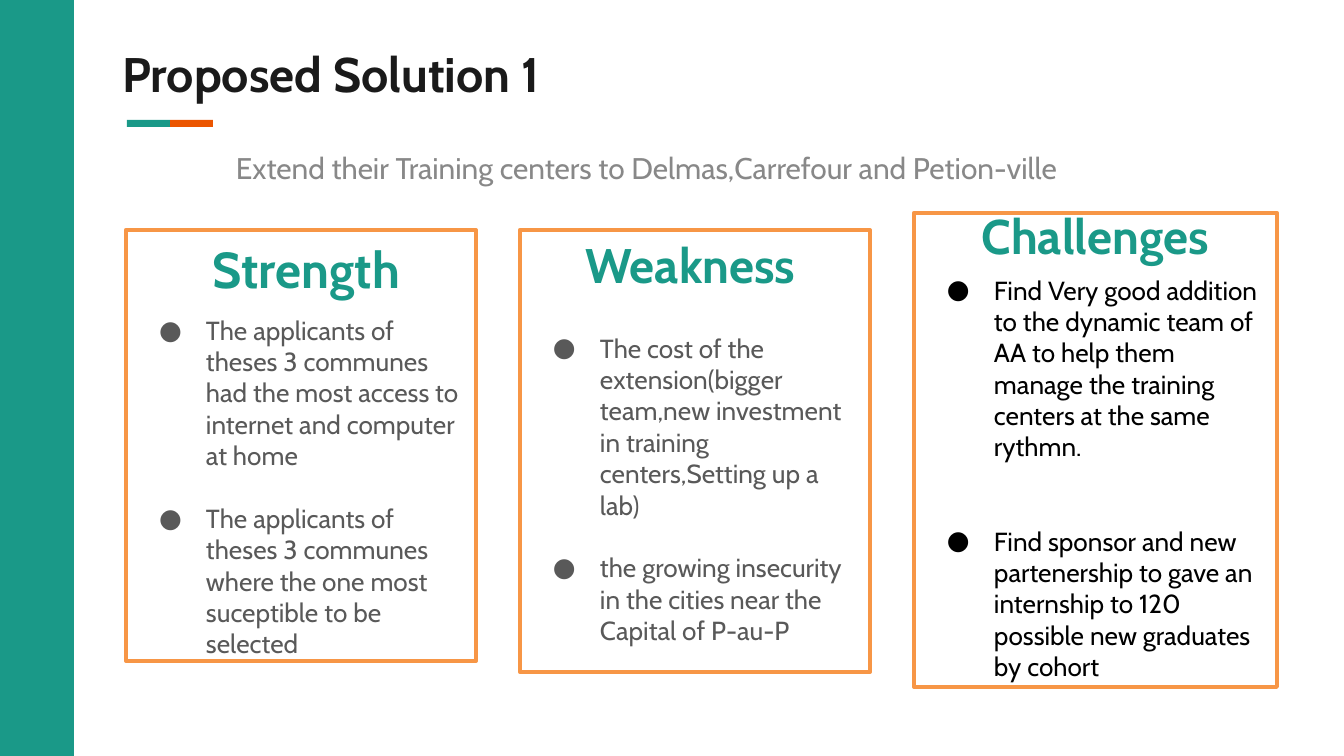
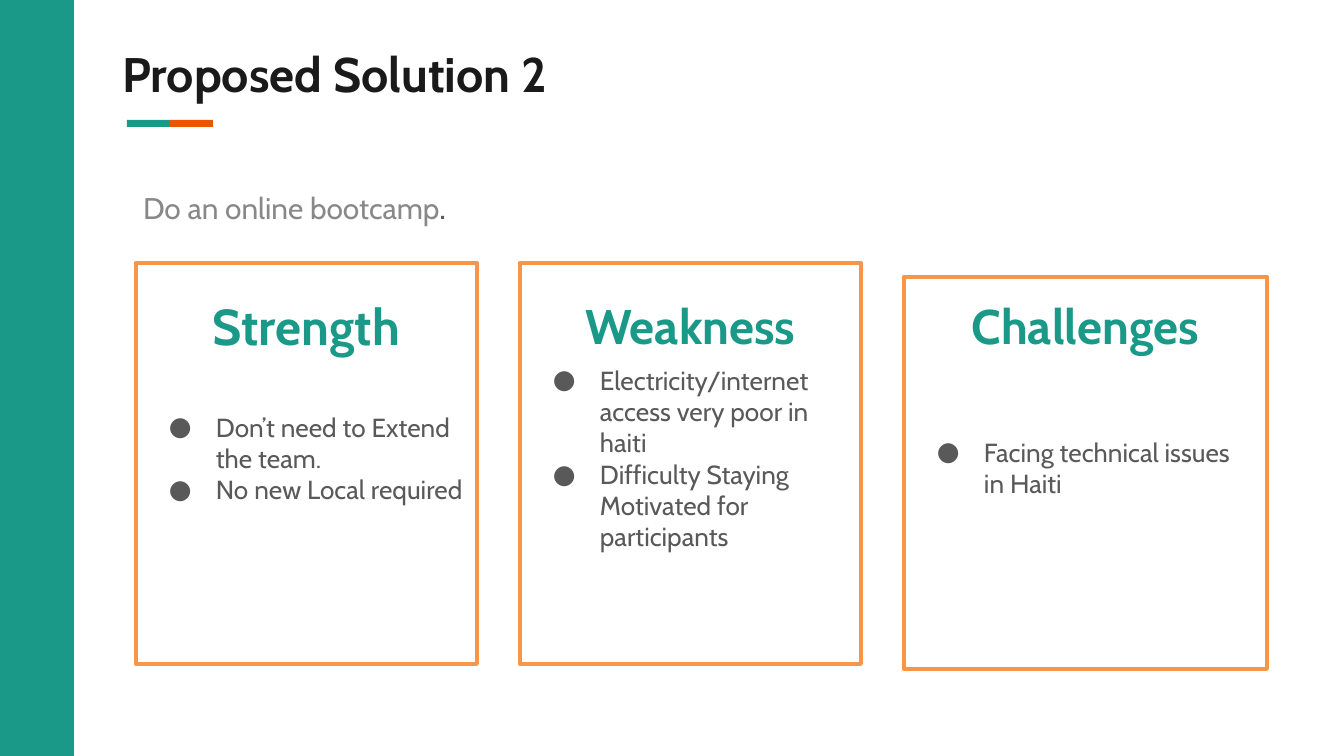
import pptx
import pptx.util
import pptx.dml.color
import pptx.enum.shapes
import pptx.enum.text
import pptx.oxml
import pptx.oxml.ns

PX = 914400 / 134.4
SIZE = (1344, 756)
FACE = "Cabin"
HUES = {"teal": "1A9988", "rust": "EB5500", "gold": "F79646", "white": "FFFFFF",
        "ink": "1A1A1A", "gray": "595959", "pale": "888888", "black": "000000"}
BARS = [((0, 0, 74, 756), "teal"), ((127, 120, 43, 7), "teal"), ((170, 120, 43, 7), "rust")]
TITLE = (121, 44, 1102, 59)
PAD = 13
HANG = (67, -47)

DECK = [
    {"title": "Proposed Solution 1",
     "lead": {"box": (156, 137, 1109, 93), "left": 67, "space": 1.0,
              "runs": [("Extend their Training centers to Delmas,Carrefour and Petion-ville",
                        16, "pale", False)]},
     "cards": [
         {"head": "Strength", "size": 27, "spot": (136, 239, 341, 59),
          "box": (126, 230, 350, 431), "top": 314, "gap": 16.8, "hue": "gray",
          "list": ["The applicants of theses 3 communes had the most access to internet and computer at home",
                   "The applicants of theses 3 communes where the one most suceptible to be selected"]},
         {"head": "Weakness", "size": 26, "spot": (520, 230, 341, 69),
          "box": (520, 230, 350, 442), "top": 332, "gap": 16.8, "hue": "gray",
          "list": ["The cost of the extension(bigger team,new investment in training centers,Setting up a lab)",
                   "the growing insecurity in the cities near the Capital of P-au-P"]},
         {"head": "Challenges", "size": 26, "spot": (914, 206, 363, 58),
          "box": (914, 213, 363, 474), "top": 274, "gap": 33.6, "hue": "black",
          "list": ["Find Very good addition to the dynamic team of AA to help them manage the training centers at the same rythmn.",
                   "Find sponsor and new partenership to gave an internship to 120 possible new graduates by cohort"]},
     ]},
    {"title": "Proposed Solution 2",
     "lead": {"box": (130, 159, 1109, 63), "left": 0, "space": 1.5,
              "runs": [("Do an online bootcamp", 16, "pale", False),
                       (".", 13, "gray", True)]},
     "cards": [
         {"head": "Strength", "size": 27, "spot": (136, 263, 341, 125),
          "box": (136, 263, 341, 401), "top": 411, "gap": 0, "hue": "gray",
          "list": ["Don’t need to Extend the team.", "No new Local required"]},
         {"head": "Weakness", "size": 26, "spot": (520, 263, 341, 125),
          "box": (520, 263, 341, 401), "top": 364, "gap": 0, "hue": "gray",
          "list": ["Electricity/internet access very poor in haiti",
                   "Difficulty Staying Motivated for participants"]},
         {"head": "Challenges", "size": 26, "spot": (904, 263, 363, 125),
          "box": (904, 277, 363, 392), "top": 436, "gap": 0, "hue": "gray",
          "list": ["Facing technical issues in Haiti"]},
     ]},
]

ALIGN = pptx.enum.text.PP_ALIGN
ANCHOR = pptx.enum.text.MSO_ANCHOR


def emu(px):
    return pptx.util.Emu(round(px * PX))


def paint(hue):
    return pptx.dml.color.RGBColor.from_string(HUES[hue])


def apply(obj, form):
    for key, val in form.items():
        setattr(obj, key, val)


def place(shape, box):
    apply(shape, dict(zip(("left", "top", "width", "height"), map(emu, box))))


def setup(frame, anchor, pads=(0, 0, 0, 0)):
    apply(frame, {"word_wrap": True, "auto_size": pptx.enum.text.MSO_AUTO_SIZE.NONE,
                  "vertical_anchor": anchor})
    sides = ("margin_left", "margin_top", "margin_right", "margin_bottom")
    apply(frame, dict(zip(sides, map(emu, pads))))


def write(para, text, size, hue, bold=False):
    run = para.add_run()
    run.text = text
    apply(run.font, {"name": FACE, "size": pptx.util.Pt(size), "bold": bold})
    run.font.color.rgb = paint(hue)


def indent(para, left, first):
    props = para._p.get_or_add_pPr()
    props.set("marL", str(emu(left)))
    props.set("indent", str(emu(first)))
    return props


def bullet(para, hue):
    props = indent(para, *HANG)
    space = pptx.oxml.ns.nsdecls("a")
    for tag in (f'<a:buClr {space}><a:srgbClr val="{HUES[hue]}"/></a:buClr>',
                f'<a:buFont {space} typeface="{FACE}"/>',
                f'<a:buChar {space} char="●"/>'):
        props.append(pptx.oxml.parse_xml(tag))


def block(slide, box, fill, line=None):
    shape = slide.shapes.add_shape(pptx.enum.shapes.MSO_SHAPE.RECTANGLE, *map(emu, box))
    shape.shadow.inherit = False
    shape.fill.solid()
    shape.fill.fore_color.rgb = paint(fill)
    if line:
        shape.line.color.rgb = paint(line)
        shape.line.width = pptx.util.Pt(2.25)
    else:
        shape.line.fill.background()
    return shape


def label(slide, box, anchor, pads=(0, 0, 0, 0)):
    frame = slide.shapes.add_textbox(*map(emu, box)).text_frame
    setup(frame, anchor, pads)
    return frame.paragraphs[0]


def brand(slide):
    tree = slide.slide_layout.shapes._spTree
    for box, hue in BARS:
        tree.append(block(slide, box, hue)._element)


def card(slide, item):
    frame = block(slide, item["box"], "white", "gold").text_frame
    setup(frame, ANCHOR.TOP, (PAD, item["top"] - item["box"][1], PAD, 0))
    for num, text in enumerate(item["list"]):
        para = frame.add_paragraph() if num else frame.paragraphs[0]
        para.alignment = ALIGN.LEFT
        if num and item["gap"]:
            para.space_before = pptx.util.Pt(item["gap"])
        bullet(para, item["hue"])
        write(para, text, 14, item["hue"])
    head = label(slide, item["spot"], ANCHOR.MIDDLE)
    head.alignment = ALIGN.CENTER
    write(head, item["head"], item["size"], "teal", True)


def page(slide, data):
    title = slide.shapes.title
    place(title, TITLE)
    setup(title.text_frame, ANCHOR.TOP)
    para = title.text_frame.paragraphs[0]
    para.alignment = ALIGN.LEFT
    indent(para, 1, 0)
    write(para, data["title"], 26, "ink", True)
    for item in data["cards"]:
        card(slide, item)
    lead = data["lead"]
    para = label(slide, lead["box"], ANCHOR.TOP, (PAD,) * 4)
    para.line_spacing = lead["space"]
    indent(para, lead["left"], 0)
    for run in lead["runs"]:
        write(para, *run)


def main():
    deck = pptx.Presentation()
    deck.slide_width, deck.slide_height = map(emu, SIZE)
    layout = deck.slide_layouts[5]
    for num, data in enumerate(DECK):
        slide = deck.slides.add_slide(layout)
        if num == 0:
            brand(slide)
        page(slide, data)
    deck.save("out.pptx")


if __name__ == "__main__":
    main()
